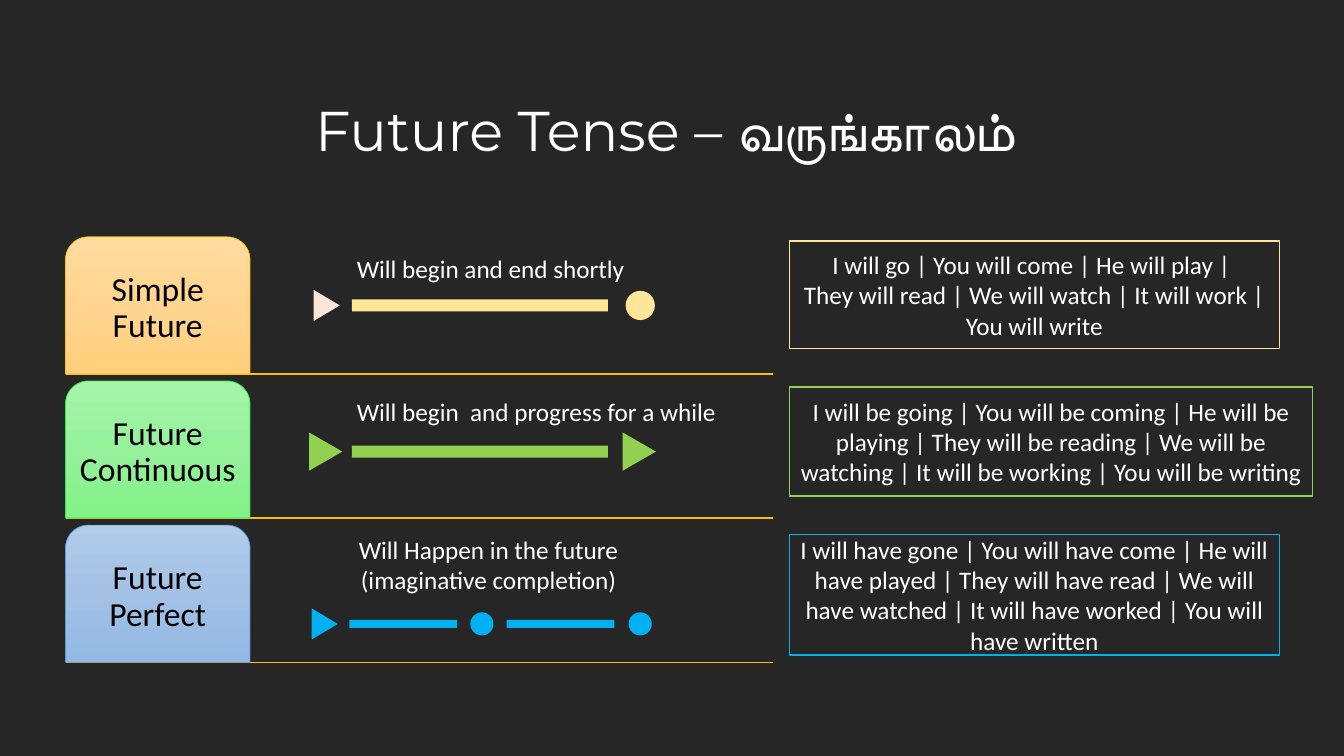
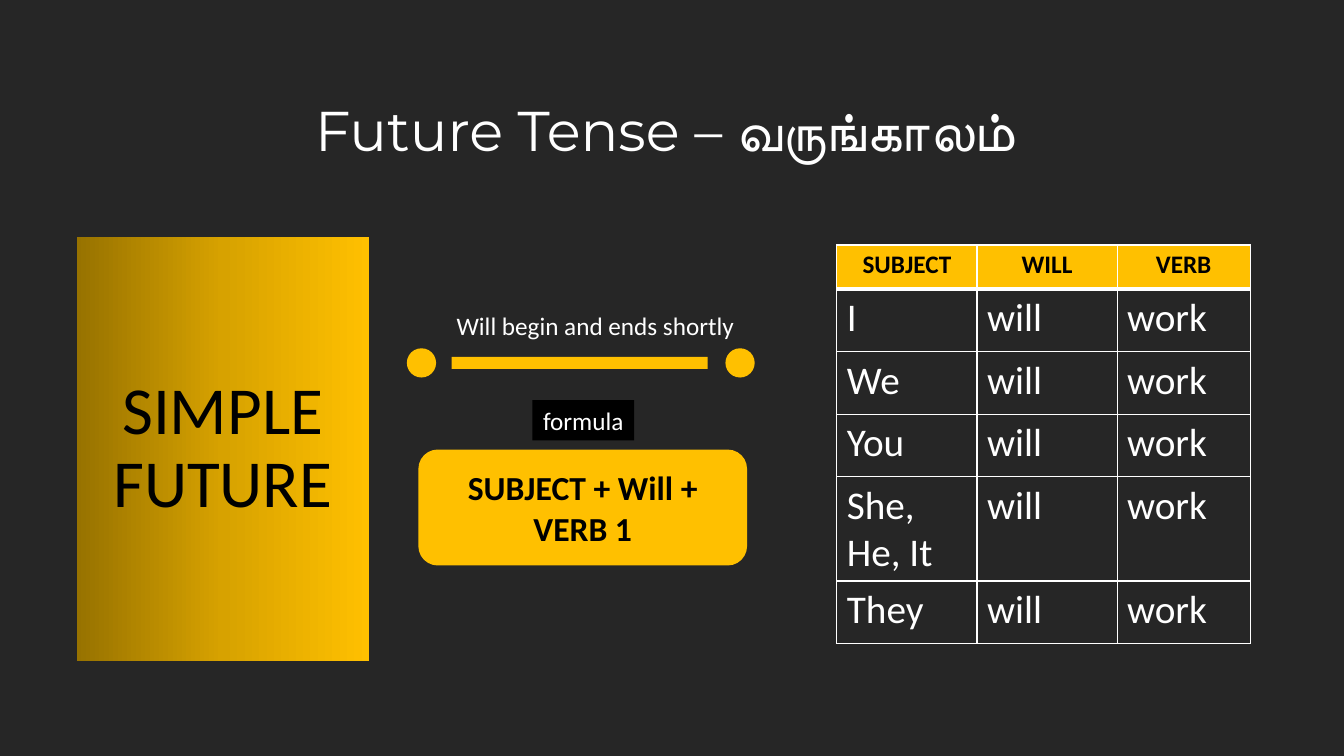
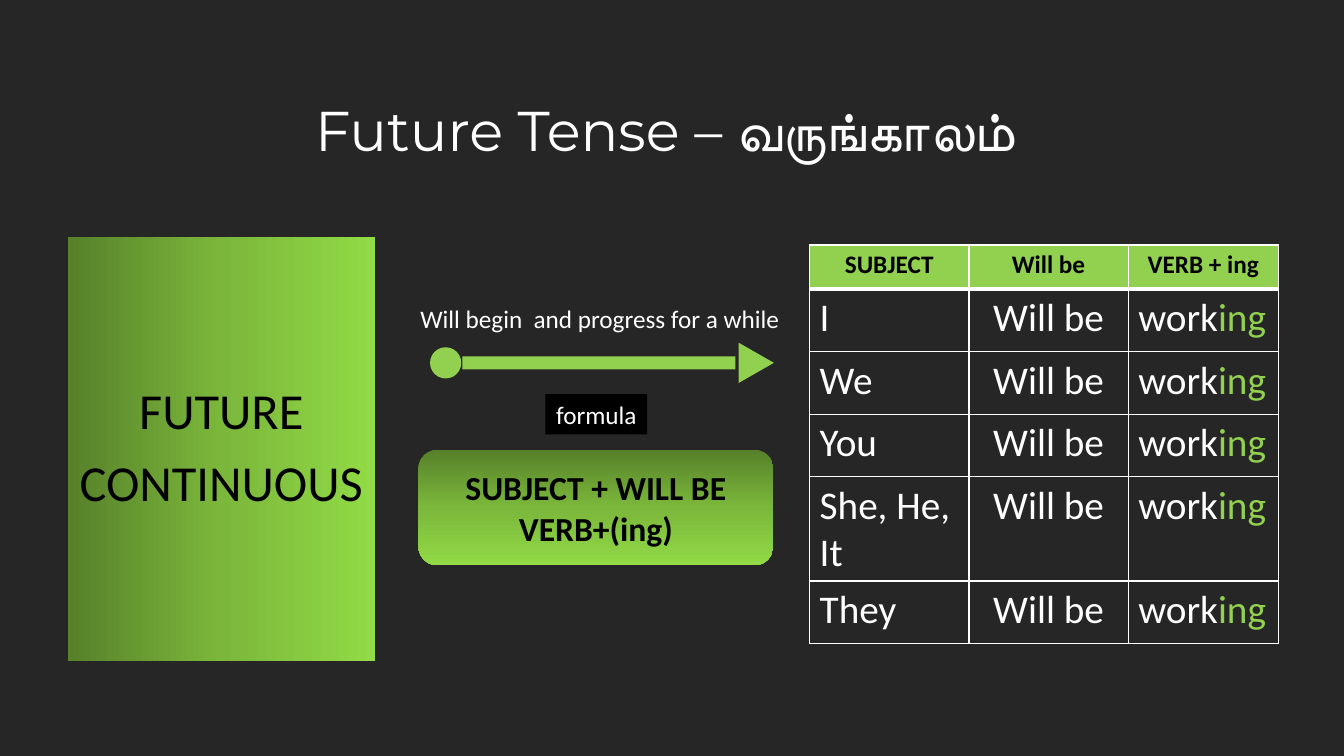
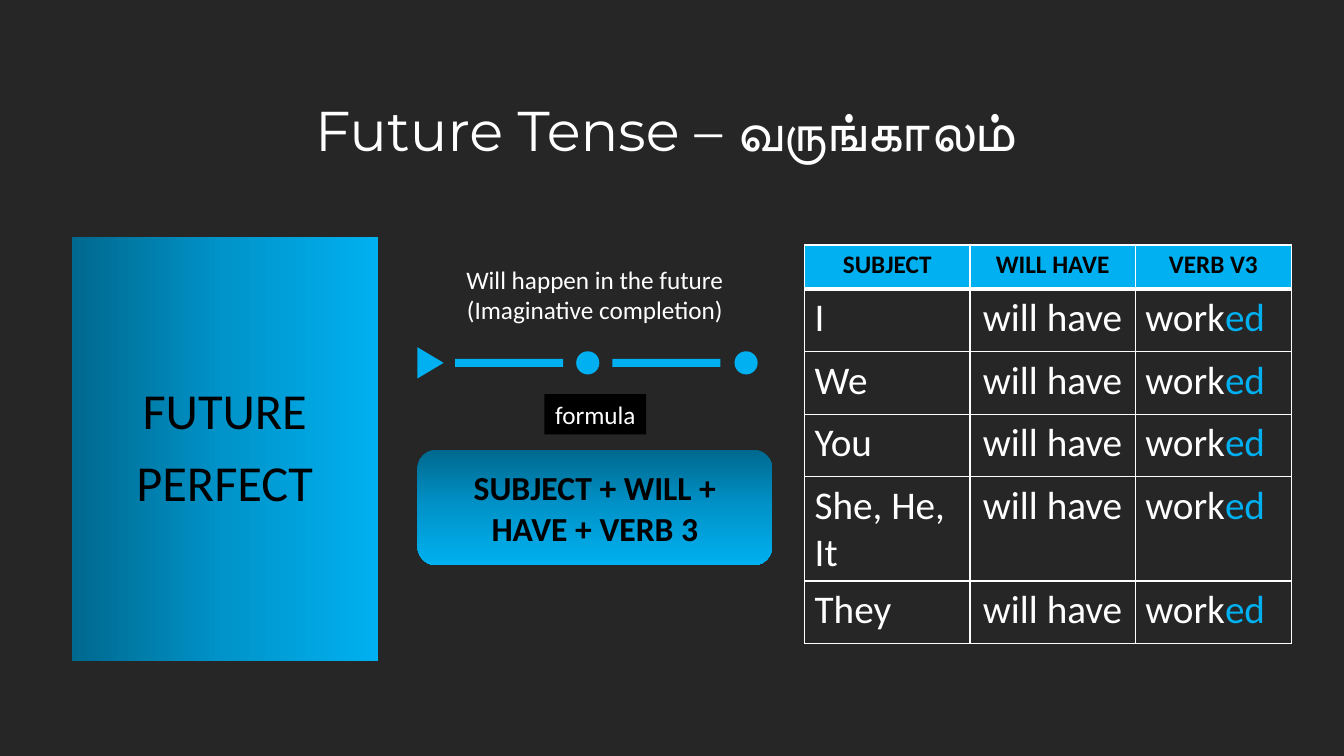
from copy import deepcopy

from lxml import etree
from pptx import Presentation
from pptx.dml.color import RGBColor
from pptx.enum.shapes import MSO_CONNECTOR, MSO_SHAPE
from pptx.enum.text import MSO_ANCHOR, MSO_AUTO_SIZE, PP_ALIGN
from pptx.oxml.ns import qn
from pptx.util import Inches, Pt

LEFT, MID = PP_ALIGN.LEFT, PP_ALIGN.CENTER
TOP, CENTER = MSO_ANCHOR.TOP, MSO_ANCHOR.MIDDLE
RECT, DOT = MSO_SHAPE.RECTANGLE, MSO_SHAPE.OVAL
ARROW, ROUND = MSO_SHAPE.ISOSCELES_TRIANGLE, MSO_SHAPE.ROUNDED_RECTANGLE
TAB = MSO_SHAPE.ROUND_2_SAME_RECTANGLE

HEX = {
    "back": "262626", "white": "FFFFFF", "black": "000000",
    "gold": "FFC000", "sand": "FFE699", "peach": "FBE5D6",
    "green": "92D050", "lime": "30E845", "blue": "00B0F0", "steel": "5B9BD5",
}
FADES = {
    "gold": ("977200", "D7A200", "FFC000"),
    "green": ("57812A", "7BB73B", "92DA46"),
    "blue": ("00688E", "0094CA", "00B0F0"),
    "sand": ("FFDB9E", "FFD590", "FFD07C"),
    "lime": ("A4F4A9", "96F19B", "82F388"),
    "steel": ("B1CBE9", "A3C1E5", "93B9E4"),
}
ACROSS, DOWN = 0, 270
TITLE = "Future Tense – வருங்காலம் "
PEOPLE = ("I", "We", "You", "She, He, It", "They")

# Each mark: kind, centre from the left end, width, height
BAR = (RECT, 1.76, 2.54, 0.12)
ONCE = [(ARROW, 0.24, 0.31, 0.26), BAR, (DOT, 3.35, 0.29, 0.29)]
FLOW = [(ARROW, 0.23, 0.38, 0.33), BAR, (ARROW, 3.34, 0.38, 0.33)]
STEPS = [(ARROW, 0.22, 0.31, 0.26), (RECT, 1.0, 1.07, 0.08),
         (DOT, 1.78, 0.23, 0.23), (RECT, 2.56, 1.07, 0.08),
         (DOT, 3.35, 0.23, 0.23)]
ENDS = [(DOT, 0.19, 0.29, 0.29), BAR, (DOT, 3.35, 0.29, 0.29)]
AHEAD = [(DOT, 0.42, 0.31, 0.31), (RECT, 1.94, 2.71, 0.13),
         (ARROW, 3.5, 0.4, 0.35)]


def tone(name):
    return RGBColor.from_string(HEX[name])


def inch(box):
    return [Inches(n) for n in box]


def write(frame, text, size=18, color="white", font="Calibri", bold=False,
          align=MID, anchor=CENTER, wrap=True, pad=None, space=None, after=None,
          tail="", tint=None):
    """Fill a frame, one paragraph a line; tail is a last run in tint."""
    frame.word_wrap = wrap
    frame.vertical_anchor = anchor
    if pad is not None:
        frame.margin_left = frame.margin_right = Inches(pad)
        frame.margin_top = frame.margin_bottom = Inches(pad)
    for i, line in enumerate(text.split("\n")):
        para = frame.add_paragraph() if i else frame.paragraphs[0]
        para.alignment = align
        if space:
            para.line_spacing = space
        if after:
            para.space_after = Pt(after)
        for words, ink in ((line, color), (tail, tint)):
            if words:
                run = para.add_run()
                run.text = words
                run.font.name, run.font.size = font, Pt(size)
                run.font.bold = bold
                run.font.color.rgb = tone(ink)


def shade(shape, name, angle):
    """Give a shape a fade of three colours."""
    shape.fill.gradient()
    shape.fill.gradient_angle = angle
    stops = shape._element.spPr.find(".//" + qn("a:gsLst"))
    stops.insert(1, deepcopy(stops[0]))
    for i, stop in enumerate(shape.fill.gradient_stops):
        stop.position = i / 2
        stop.color.rgb = RGBColor.from_string(FADES[name][i])


def draw(slide, kind, box, fill=None, fade=None, angle=DOWN, line=None, width=1):
    shape = slide.shapes.add_shape(kind, *inch(box))
    shape.shadow.inherit = False
    if fade:
        shade(shape, fade, angle)
    elif fill:
        shape.fill.solid()
        shape.fill.fore_color.rgb = tone(fill)
    else:
        shape.fill.background()
    if line:
        shape.line.color.rgb = tone(line)
        shape.line.width = Pt(width)
    else:
        shape.line.fill.background()
    return shape


def label(slide, box, text, **form):
    write(slide.shapes.add_textbox(*inch(box)).text_frame, text,
          anchor=TOP, **form)


def page(deck):
    slide = deck.slides.add_slide(deck.slide_layouts[5])
    title = slide.shapes.title
    title.left, title.top, title.width, title.height = inch((2.09, 0.9, 9.15, 0.77))
    write(title.text_frame, TITLE, size=40, font="Montserrat", anchor=TOP)
    title.text_frame.auto_size = MSO_AUTO_SIZE.NONE
    return slide


def track(slide, left, mid, marks, color, first=None):
    """Draw time marks along the height mid; first recolours the first one."""
    for i, (kind, x, w, h) in enumerate(marks):
        box = (left + x - w / 2, mid - h / 2, w, h)
        mark = draw(slide, kind, box, fill=color if i else first or color)
        if kind == ARROW:
            mark.rotation = 90


def rule(slide, left, top, width):
    line = slide.shapes.add_connector(
        MSO_CONNECTOR.STRAIGHT, *inch((left, top, left + width, top)))
    line.line.color.rgb = tone("gold")
    line.line.width = Pt(1)
    etree.SubElement(line._element.spPr, qn("a:effectLst"))


def tense(slide, left, top, name, fade, edge, note, spot, align, marks, mid,
          color, text, box, first=None):
    """One row of the overview: tab, time line and examples."""
    rule(slide, left, top + 1.36, 7.02)
    tab = draw(slide, TAB, (left, top, 1.83, 1.36), fade=fade, line=edge, width=0.5)
    write(tab.text_frame, name, size=24, color="black", pad=0.05, space=0.9)
    x, y, w, h = spot
    label(slide, (left + x, top + y, w, h), note, align=align)
    track(slide, left + 2.35, top + mid, marks, color, first)
    x, y, w, h = box
    frame = draw(slide, RECT, (left + x, top + y, w, h), line=color)
    write(frame.text_frame, text)


def panel(slide, box, text, fade, size, pad):
    shape = draw(slide, RECT, box, fade=fade, angle=ACROSS)
    write(shape.text_frame, text, size=size, color="black", pad=pad,
          space=0.9, after=12.6)


def formula(slide, box, text, color, fade, gap):
    """Rounded box with its black tag centred above it."""
    left, top, width, _ = box
    tag = draw(slide, RECT, (left + width / 2 - 0.5, top - gap, 1.01, 0.4),
               fill="black")
    write(tag.text_frame, "formula", wrap=False)
    write(draw(slide, ROUND, box, fill=color, fade=fade).text_frame, text,
          size=24, color="black", bold=True)


def edge(cell, **widths):
    """Draw white cell borders, widths in points by side."""
    props = cell._tc.get_or_add_tcPr()
    for i, (side, width) in enumerate(widths.items()):
        line = etree.Element(qn("a:ln" + side), w=str(Pt(width)))
        fill = etree.SubElement(line, qn("a:solidFill"))
        etree.SubElement(fill, qn("a:srgbClr"), val=HEX["white"])
        props.insert(i, line)


def verbs(slide, left, cols, heads, aid, tail, color, align):
    """Table of subject, helper verb and main verb."""
    rows = [0.44] + [0.62] * len(PEOPLE)
    table = slide.shapes.add_table(
        len(rows), len(cols), *inch((left, 2.43, sum(cols), sum(rows)))).table
    table.horz_banding = False
    for col, width in zip(table.columns, cols):
        col.width = Inches(width)
    for row, height in zip(table.rows, rows):
        row.height = Inches(height)
    data = [heads] + [(who, aid, "work") for who in PEOPLE]
    for r, words in enumerate(data):
        for c, word in enumerate(words):
            cell = table.cell(r, c)
            if r:
                cell.fill.background()
                write(cell.text_frame, word, size=28,
                      align=align if c == 1 else LEFT,
                      tail=tail if c == 2 else "", tint=color)
            else:
                cell.fill.solid()
                cell.fill.fore_color.rgb = tone(color)
                write(cell.text_frame, word, color="black", bold=True)
            cell.vertical_anchor = TOP
            edge(cell, L=1, R=1, T=3 if r == 1 else 1, B=1 if r else 3)


def overview(deck):
    slide = page(deck)
    rows = [
        dict(name="Simple Future", fade="sand", edge="gold",
             note="Will begin and end shortly", spot=(2.79, 0.11, 2.99, 0.4),
             align=LEFT, marks=ONCE, mid=0.68, color="sand", first="peach",
             text="I will go | You will come | He will play | \n"
                  "They will read | We will watch | It will work | You will write",
             box=(7.18, 0.04, 4.86, 1.07)),
        dict(name="Future Continuous", fade="lime", edge="lime",
             note="Will begin  and progress for a while",
             spot=(2.79, 0.1, 3.91, 0.4),
             align=LEFT, marks=FLOW, mid=0.7, color="green",
             text="I will be going | You will be coming | He will be playing | "
                  "They will be reading | We will be watching | "
                  "It will be working | You will be writing",
             box=(7.18, 0.06, 5.19, 1.08)),
        dict(name="Future Perfect", fade="steel", edge="steel",
             note="Will Happen in the future\n(imaginative completion)",
             spot=(2.79, 0.04, 2.81, 0.71),
             align=MID, marks=STEPS, mid=0.98, color="blue",
             text="I will have gone | You will have come | He will have played | "
                  "They will have read | We will have watched | "
                  "It will have worked | You will have written",
             box=(7.18, 0.09, 4.86, 1.2)),
    ]
    for i, row in enumerate(rows):
        tense(slide, 0.65, 2.35 + i * 1.43, **row)


def lesson(deck, color, name, side, size, pad, note, spot, align, start, marks,
           rule, box, gap, fade, table):
    """Slide for one tense: panel, time line, formula and table."""
    slide = page(deck)
    left, width = side
    panel(slide, (left, 2.35, width, 4.21), name, color, size, pad)
    label(slide, spot, note, align=align)
    track(slide, start, 3.6, marks, color)
    left, width = box
    formula(slide, (left, 4.46, width, 1.15), rule, color, fade, gap)
    verbs(slide, color=color, **table)


def main():
    deck = Presentation()
    deck.slide_width, deck.slide_height = Inches(13.33), Inches(7.5)
    back = deck.slide_master.background.fill
    back.solid()
    back.fore_color.rgb = tone("back")
    overview(deck)
    lesson(deck, "gold", "SIMPLE FUTURE", (0.76, 2.9), 48, 0.13,
           "Will begin and ends shortly", (4.43, 3.03, 2.99, 0.4), LEFT,
           3.99, ENDS, "SUBJECT + Will + VERB 1", (4.15, 3.26), 0.49, None,
           dict(left=8.3, cols=(1.39, 1.39, 1.32), align=LEFT,
                heads=("SUBJECT", "WILL", "VERB"), aid="will", tail=""))
    lesson(deck, "green", "FUTURE\nCONTINUOUS", (0.67, 3.05), 36, 0.1,
           "Will begin  and progress for a while", (4.07, 2.96, 3.81, 0.4), LEFT,
           4, AHEAD, "SUBJECT + WILL BE VERB+(ing)", (4.15, 3.52), 0.55, "green",
           dict(left=8.03, cols=(1.58, 1.58, 1.49), align=MID,
                heads=("SUBJECT", "Will be", "VERB + ing"),
                aid="Will be", tail="ing"))
    lesson(deck, "blue", "FUTURE\nPERFECT", (0.71, 3.04), 36, 0.1,
           "Will happen in the future\n(Imaginative completion)",
           (4.05, 2.57, 3.7, 0.71), MID,
           4.05, STEPS, "SUBJECT + WILL + HAVE + VERB 3", (4.14, 3.52), 0.55, "blue",
           dict(left=7.98, cols=(1.64, 1.64, 1.55), align=MID,
                heads=("SUBJECT", "WILL HAVE", "VERB V3"),
                aid="will have", tail="ed"))
    deck.save("out.pptx")


if __name__ == "__main__":
    main()
